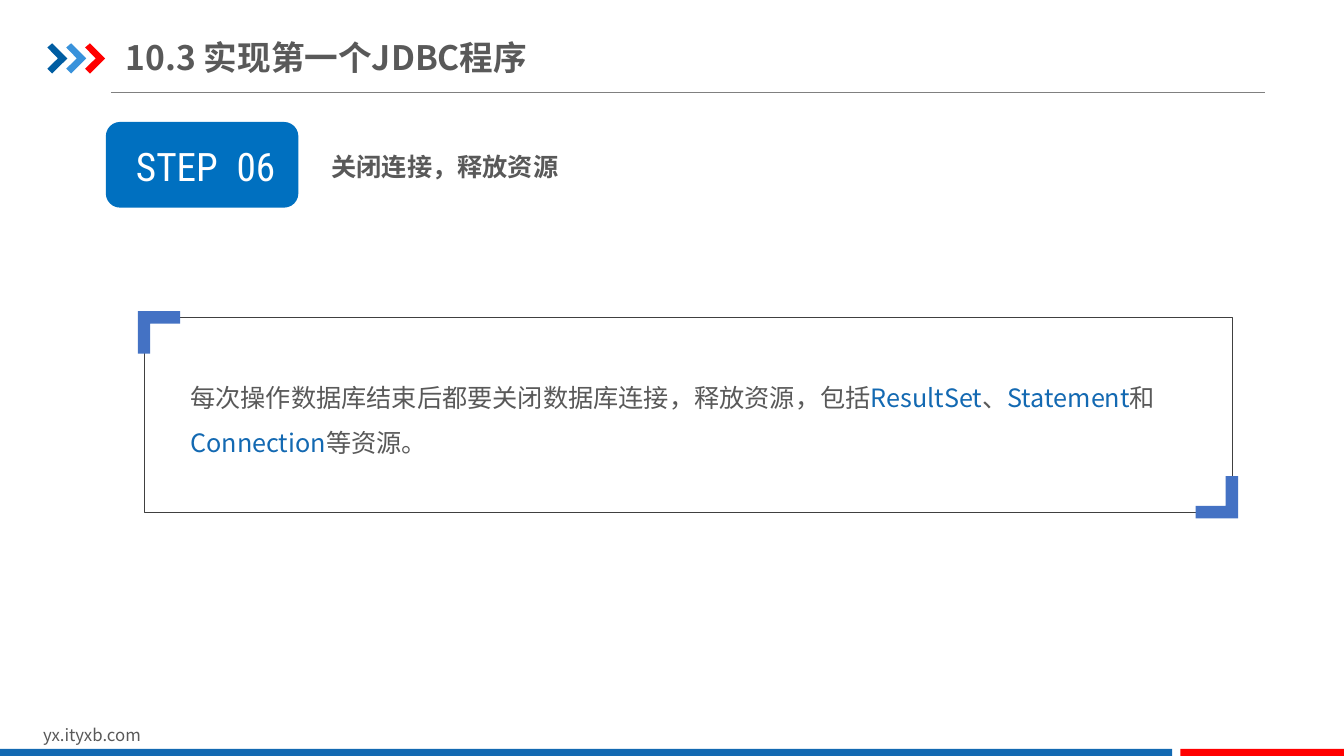
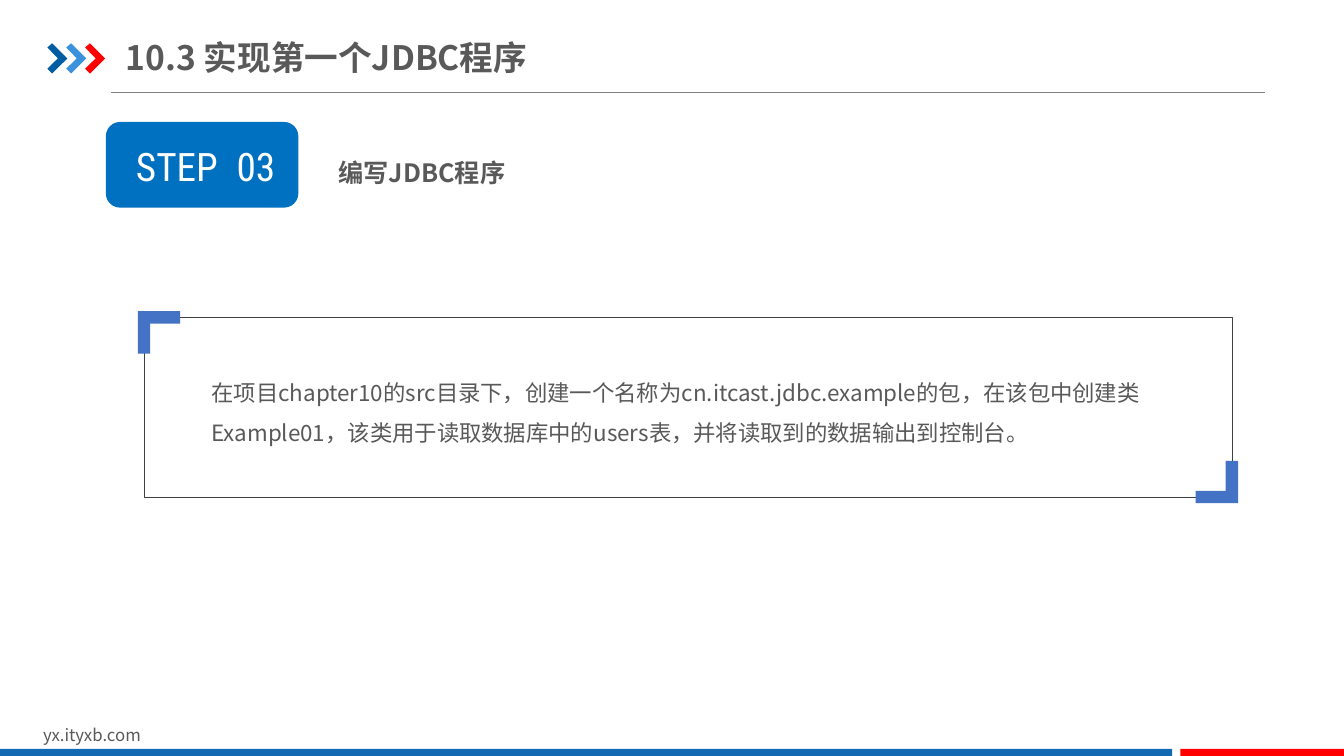
from dataclasses import dataclass
from typing import NamedTuple

from lxml.etree import SubElement
from pptx import Presentation
from pptx.dml.color import RGBColor
from pptx.enum.shapes import MSO_CONNECTOR, MSO_SHAPE
from pptx.enum.text import MSO_ANCHOR, MSO_AUTO_SIZE, PP_ALIGN
from pptx.oxml.ns import qn
from pptx.shapes.autoshape import Shape
from pptx.slide import Slide
from pptx.util import Emu, Pt

COLUMNS, ROWS = 160, 90
CELL = 76200

COLOURS = {
    "text": "595959",
    "white": "FFFFFF",
    "keyword": "1369B2",
    "rule": "808080",
    "navy": "005DA2",
    "sky": "3992DB",
    "red": "FF0000",
    "badge": "0070C0",
    "frame": "404040",
    "bracket": "4472C4",
}
SANS, CONDENSED = "Noto Sans CJK SC", "Roboto Condensed"


class Area(NamedTuple):
    """Rectangle in grid cells."""

    left: float
    top: float
    width: float
    height: float


class Span(NamedTuple):
    """Piece of text with its colour and extra letter spacing in points."""

    text: str
    colour: str = "text"
    spacing: float = 0


@dataclass(frozen=True)
class Style:
    """Look of the text in one box."""

    size: float
    font: str = SANS
    bold: bool = False
    align: PP_ALIGN = PP_ALIGN.LEFT
    line_spacing: float = 1.0


@dataclass(frozen=True)
class Step:
    """Content of one step slide."""

    number: str
    heading: str
    heading_area: Area
    body: tuple[Span, ...]
    body_area: Area
    body_size: float
    frame_height: float


TITLE = "10.3 实现第一个JDBC程序"
ADDRESS = "yx.ityxb.com"
CHEVRON = ((0, 0.5), (0.58, 0), (2.38, 1.8), (0.58, 3.6), (0, 3.02), (1.26, 1.8))
CHEVRON_PITCH = 2.25
BRACKET = ((0, 0), (5.04, 0), (5.04, 1.48), (1.48, 1.48), (1.48, 5.04), (0, 5.04))
BRACKET_OVERHANG = 0.75
BANDS = (
    ("keyword", Area(0, 89.16, 139.56, 0.84)),
    ("red", Area(140.52, 89.16, 19.48, 0.84)),
)

STEPS = (
    Step(
        number="06",
        heading="关闭连接，释放资源",
        heading_area=Area(38.28, 15.6, 69.24, 6.72),
        body=(
            Span("每次操作数据库结束后都要关闭数据库连接，释放资源，包括"),
            Span("ResultSet", "keyword"),
            Span("、"),
            Span("Statement", "keyword"),
            Span("和"),
            Span("Connection", "keyword"),
            Span("等资源。"),
        ),
        body_area=Area(21.48, 43.08, 120.96, 11.52),
        body_size=18,
        frame_height=23.16,
    ),
    Step(
        number="03",
        heading="编写JDBC程序",
        heading_area=Area(39.12, 16.32, 54, 6.72),
        body=(
            Span(
                "在项目chapter10的src目录下，创建一个名称为cn.itcast.jdbc.example的包，"
                "在该包中创建类Example01，该类用于读取数据库中的users表，"
                "并将读取到的数据输出到控制台。"
            ),
        ),
        body_area=Area(24, 42.96, 120.96, 10.92),
        body_size=16,
        frame_height=21.36,
    ),
)


def cells(count: float) -> Emu:
    """Convert grid cells to a length."""
    return Emu(round(count * CELL))


def colour(name: str) -> RGBColor:
    """Look up a named colour."""
    return RGBColor.from_string(COLOURS[name])


def fill_plain(shape: Shape, fill: str) -> None:
    """Give a shape a flat fill without outline or shadow."""
    shape.shadow.inherit = False
    shape.fill.solid()
    shape.fill.fore_color.rgb = colour(fill)
    shape.line.fill.background()


def add_block(page: Slide, kind: MSO_SHAPE, area: Area, fill: str) -> Shape:
    """Draw a filled preset shape."""
    shape = page.shapes.add_shape(kind, *map(cells, area))
    fill_plain(shape, fill)
    return shape


def add_outline(page: Slide, points: tuple, left: float, top: float, fill: str, direction: int = 1) -> None:
    """Draw a filled polygon from an origin, turned half round if direction is -1."""
    corners = [(cells(left + direction * x), cells(top + direction * y)) for x, y in points]
    builder = page.shapes.build_freeform(*corners[0], scale=1.0)
    builder.add_line_segments(corners[1:], close=True)
    fill_plain(builder.convert_to_shape(), fill)


def add_text(page: Slide, area: Area, spans: tuple[Span, ...], style: Style) -> Shape:
    """Draw a wrapped text box holding one paragraph of spans."""
    box = page.shapes.add_textbox(*map(cells, area))
    box.text_frame.word_wrap = True
    box.text_frame.auto_size = MSO_AUTO_SIZE.SHAPE_TO_FIT_TEXT
    para = box.text_frame.paragraphs[0]
    para.alignment = style.align
    para.line_spacing = style.line_spacing
    for span in spans:
        run = para.add_run()
        run.text = span.text
        run.font.size = Pt(style.size)
        run.font.bold = style.bold
        run.font.color.rgb = colour(span.colour)
        run.font.name = style.font
        properties = run._r.get_or_add_rPr()
        SubElement(properties, qn("a:ea")).set("typeface", style.font)
        if span.spacing:
            properties.set("spc", str(round(span.spacing * 100)))
    return box


def add_header(page: Slide) -> None:
    """Draw the rule, chevrons and title."""
    rule = page.shapes.add_connector(
        MSO_CONNECTOR.STRAIGHT, cells(13.2), cells(10.98), cells(150.6), cells(10.98)
    )
    rule.line.color.rgb = colour("rule")
    rule.line.width = Pt(0.5)
    SubElement(rule._element.spPr, qn("a:effectLst"))
    for index, fill in enumerate(("navy", "sky", "red")):
        add_outline(page, CHEVRON, 5.64 + index * CHEVRON_PITCH, 5.16, fill)
    title = add_text(page, Area(15, 3.48, 51.12, 6.6), (Span(TITLE),), Style(24, bold=True))
    frame = title.text_frame
    frame.auto_size = MSO_AUTO_SIZE.NONE
    frame.vertical_anchor = MSO_ANCHOR.MIDDLE
    frame.margin_left = frame.margin_right = 0
    frame.margin_top = frame.margin_bottom = cells(0.84)


def add_footer(page: Slide) -> None:
    """Draw the web address and the bottom bands."""
    add_text(page, Area(3.96, 85.68, 38.16, 3.6), (Span(ADDRESS),), Style(12))
    for fill, area in BANDS:
        add_block(page, MSO_SHAPE.RECTANGLE, area, fill)


def add_badge(page: Slide, number: str) -> None:
    """Draw the step badge."""
    add_block(page, MSO_SHAPE.ROUNDED_RECTANGLE, Area(12.6, 14.52, 22.92, 10.2), "badge")
    spans = (Span("STEP", "white"), Span(" ", "white", 7), Span(number, "white"))
    style = Style(28, font=CONDENSED, align=PP_ALIGN.CENTER)
    add_text(page, Area(13.8, 16.32, 21.36, 6.84), spans, style)


def add_frame(page: Slide, area: Area) -> None:
    """Draw a thin frame with brackets on two opposite corners."""
    frame = page.shapes.add_shape(MSO_SHAPE.RECTANGLE, *map(cells, area))
    frame.shadow.inherit = False
    frame.fill.background()
    frame.line.color.rgb = colour("frame")
    frame.line.width = Pt(0.25)
    corners = ((area.left, area.top, 1), (area.left + area.width, area.top + area.height, -1))
    for x, y, direction in corners:
        shift = direction * BRACKET_OVERHANG
        add_outline(page, BRACKET, x - shift, y - shift, "bracket", direction)


def add_step(deck: Presentation, step: Step) -> None:
    """Build one step slide."""
    page = deck.slides.add_slide(deck.slide_layouts[6])
    add_header(page)
    add_footer(page)
    add_badge(page, step.number)
    add_text(page, step.heading_area, (Span(step.heading),), Style(18, bold=True, line_spacing=1.5))
    add_text(page, step.body_area, step.body, Style(step.body_size, line_spacing=1.5))
    add_frame(page, Area(17.16, 37.8, 129.48, step.frame_height))


def main() -> None:
    """Build and save the deck."""
    deck = Presentation()
    deck.slide_width, deck.slide_height = cells(COLUMNS), cells(ROWS)
    for step in STEPS:
        add_step(deck, step)
    deck.save("out.pptx")


if __name__ == "__main__":
    main()
